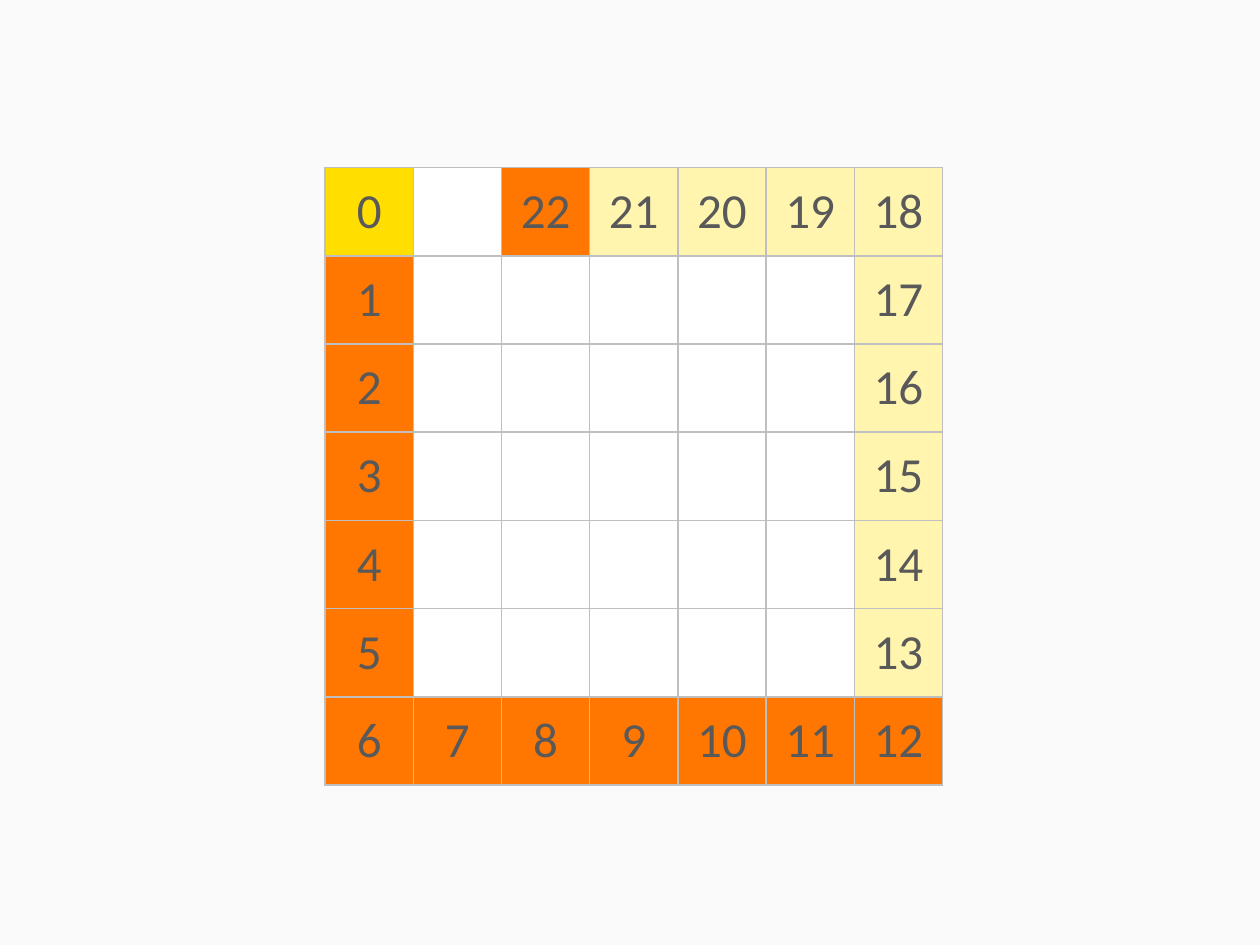
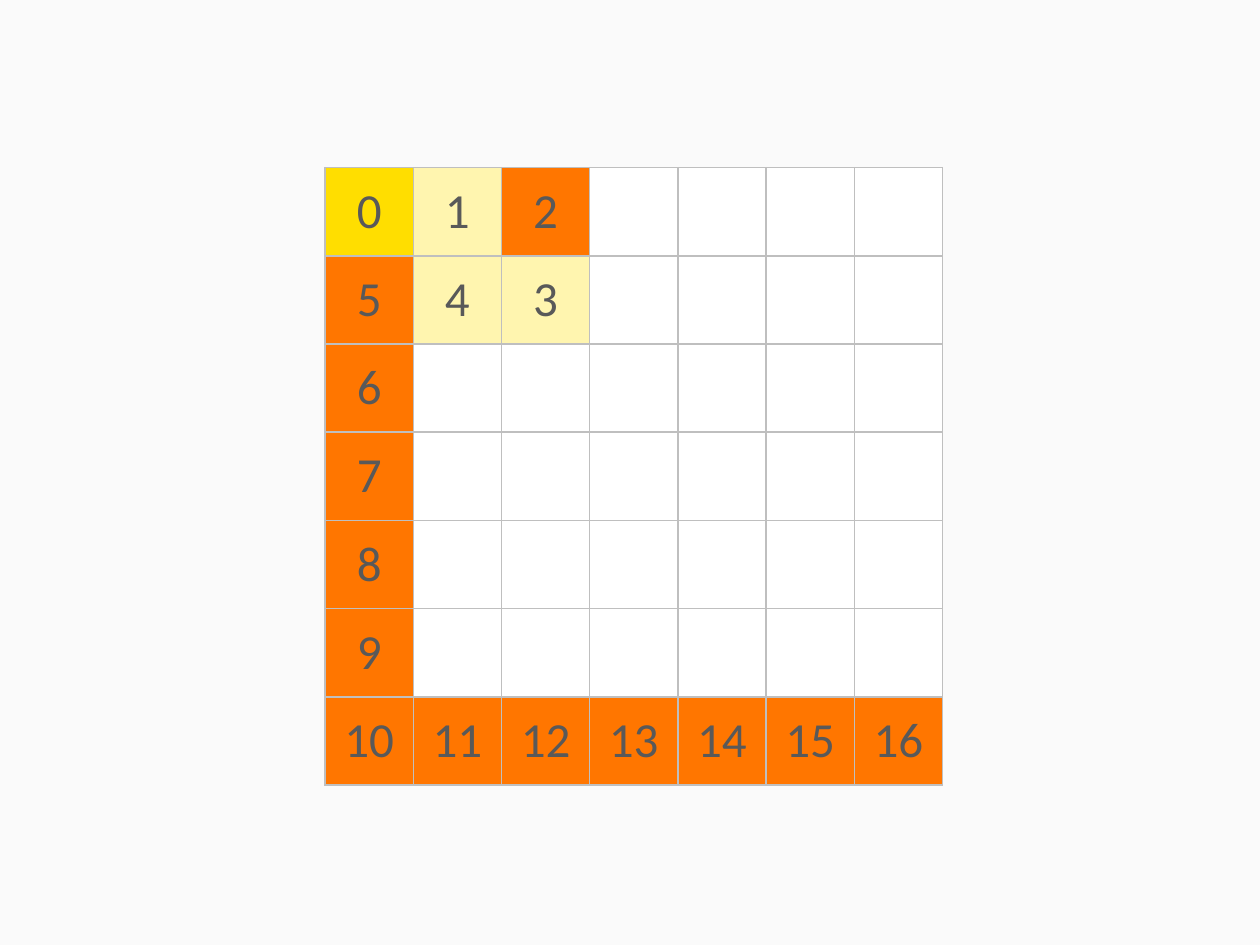
from lxml import etree
from pptx import Presentation
from pptx.dml.color import RGBColor
from pptx.enum.text import MSO_ANCHOR, PP_ALIGN
from pptx.oxml.ns import qn
from pptx.util import Emu, Pt

MIDDLE = MSO_ANCHOR.MIDDLE
CENTER = PP_ALIGN.CENTER

PX = 9144
SLIDE_WIDTH, SLIDE_HEIGHT = 1000, 750
BOARD_LEFT, BOARD_TOP = 258, 133
SQUARE = 70
SIDE = 7

BACKGROUND = RGBColor(0xFA, 0xFA, 0xFA)
START_YELLOW = RGBColor(0xFF, 0xDE, 0x00)
TARGET_ORANGE = RGBColor(0xFF, 0x76, 0x00)
VISITED_CREAM = RGBColor(0xFF, 0xF5, 0xAF)
EMPTY_WHITE = RGBColor(0xFF, 0xFF, 0xFF)
GRID_GREY = RGBColor(0xBF, 0xBF, 0xBF)
NUMBER_GREY = RGBColor(0x59, 0x59, 0x59)
OUTLINE_GREY = RGBColor(0xD9, 0xD9, 0xD9)

FONT = "Calibri"
NUMBER_SIZE = Pt(28)
GRID_WIDTH = Pt(1)
OUTLINE_WIDTH = Pt(0.75)

START = (0, 0)
ISOLATED_TARGET = (0, 2)
DIRECTIONS = {"down": (1, 0), "up": (-1, 0), "right": (0, 1), "left": (0, -1)}
ROUTES = [
    [("down", 6), ("right", 6), ("up", 6), ("left", 4)],
    [("right", 2), ("down", 1), ("left", 2), ("down", 5), ("right", 6)],
]


def px(length):
    return Emu(length * PX)


def number_squares(route):
    row, column = START
    numbers = {START: 0}
    for direction, count in route:
        row_step, column_step = DIRECTIONS[direction]
        for _ in range(count):
            row += row_step
            column += column_step
            numbers[row, column] = len(numbers)
    return numbers


def square_colour(position, numbers):
    row, column = position
    if position not in numbers:
        return EMPTY_WHITE
    if position == START:
        return START_YELLOW
    if column == 0 or row == SIDE - 1 or position == ISOLATED_TARGET:
        return TARGET_ORANGE
    return VISITED_CREAM


def make_line(tag, width, colour):
    line = etree.Element(qn(tag), w=str(width))
    solid = etree.SubElement(line, qn("a:solidFill"))
    etree.SubElement(solid, qn("a:srgbClr"), val=str(colour))
    return line


def style_square(square, colour):
    properties = square._tc.get_or_add_tcPr()
    for tag in ("a:lnL", "a:lnR", "a:lnT", "a:lnB"):
        properties.append(make_line(tag, GRID_WIDTH, GRID_GREY))
    square.fill.solid()
    square.fill.fore_color.rgb = colour


def write_number(square, number):
    square.text_frame.text = str(number)
    square.vertical_anchor = MIDDLE
    paragraph = square.text_frame.paragraphs[0]
    paragraph.alignment = CENTER
    digits = paragraph.runs[0]
    digits.font.name = FONT
    digits.font.size = NUMBER_SIZE
    digits.font.color.rgb = NUMBER_GREY
    outline = make_line("a:ln", OUTLINE_WIDTH, OUTLINE_GREY)
    digits.font._element.insert(0, outline)


def add_board(slide, numbers):
    extent = px(SIDE * SQUARE)
    board = slide.shapes.add_table(
        SIDE, SIDE, px(BOARD_LEFT), px(BOARD_TOP), extent, extent
    ).table
    board.first_row = False
    board.horz_banding = False
    for index in range(SIDE):
        board.columns[index].width = px(SQUARE)
        board.rows[index].height = px(SQUARE)
    for row in range(SIDE):
        for column in range(SIDE):
            position = (row, column)
            square = board.cell(row, column)
            style_square(square, square_colour(position, numbers))
            if position in numbers:
                write_number(square, numbers[position])


def main():
    presentation = Presentation()
    presentation.slide_width = px(SLIDE_WIDTH)
    presentation.slide_height = px(SLIDE_HEIGHT)
    backdrop = presentation.slide_master.background.fill
    backdrop.solid()
    backdrop.fore_color.rgb = BACKGROUND
    blank_layout = presentation.slide_layouts[6]
    for route in ROUTES:
        slide = presentation.slides.add_slide(blank_layout)
        add_board(slide, number_squares(route))
    presentation.save("out.pptx")


if __name__ == "__main__":
    main()
